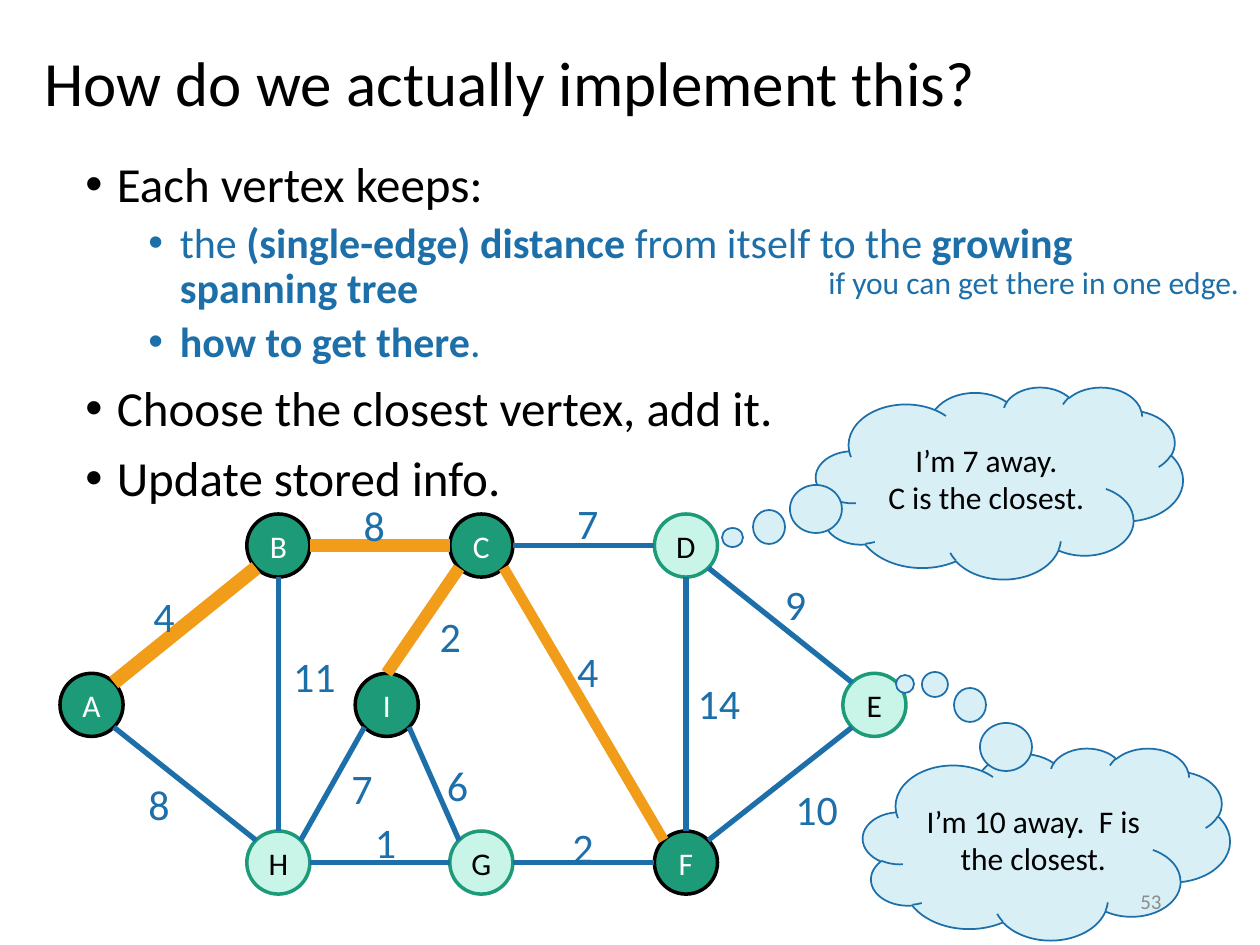
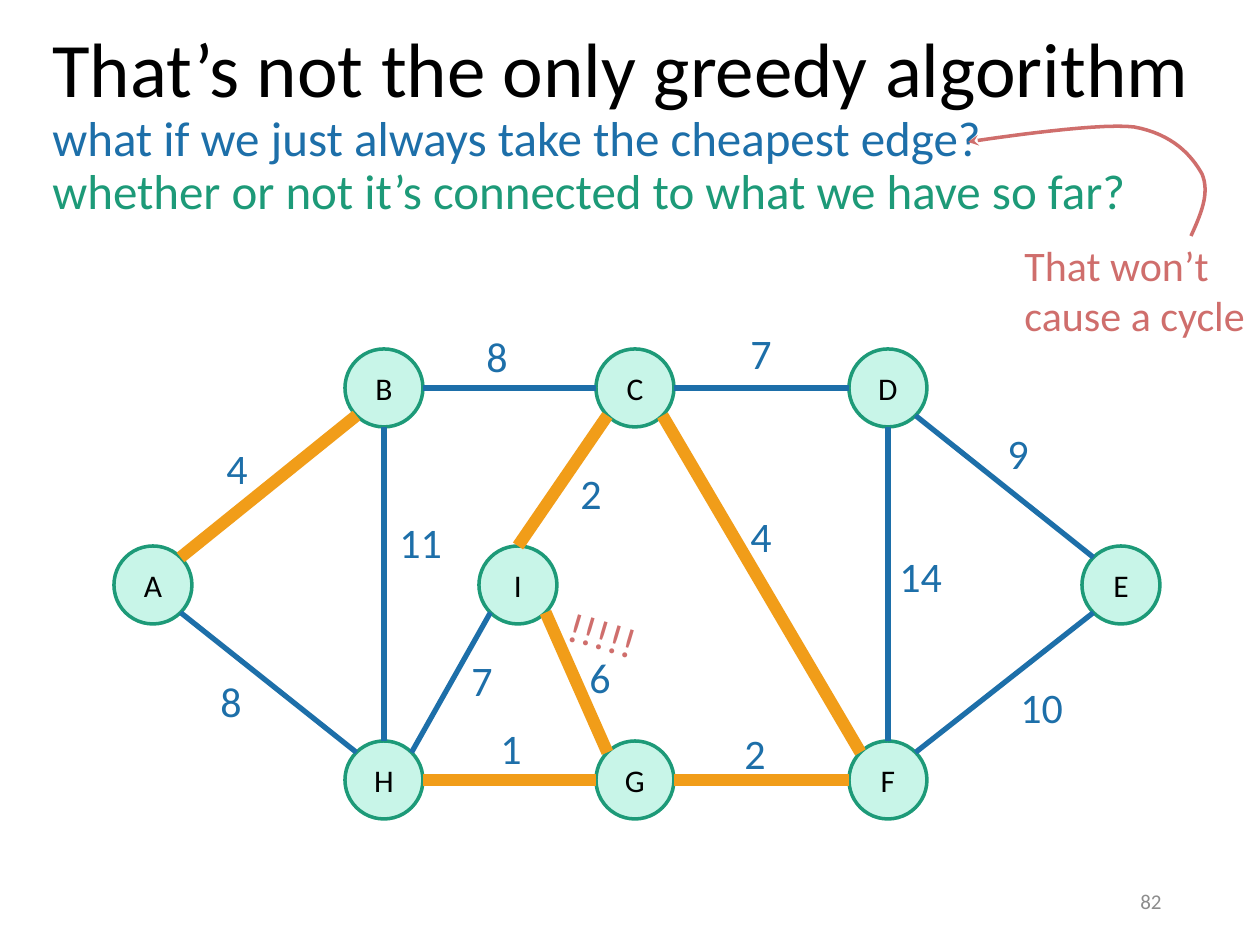
import math

import lxml.etree
import pptx
import pptx.dml.color
import pptx.enum.dml
import pptx.enum.shapes
import pptx.enum.text
import pptx.oxml.ns
import pptx.util

SCALE = 914400 / 126
FONT = "Calibri"
BLACK, WHITE, GREY = "000000", "FFFFFF", "8C8C8C"
BLUE, GREEN, MINT = "1D6FA9", "1D9A78", "C8F5E8"
ORANGE, ROSE, SKY = "F19D19", "CF6E6C", "D7EFF5"

SHAPES = pptx.enum.shapes.MSO_SHAPE
ALIGN = pptx.enum.text.PP_ALIGN
ANCHOR = pptx.enum.text.MSO_ANCHOR

GRAPH_WIDTH = 1046
NODE_RADIUS = 39
LEFT, MIDDLE, RIGHT = 270, 521, 774
TOP, CENTRE, BOTTOM = 39, 236, 431
NODES = {
    "D": (RIGHT, TOP), "C": (MIDDLE, TOP), "B": (LEFT, TOP),
    "A": (39, CENTRE), "H": (LEFT, BOTTOM), "G": (MIDDLE, BOTTOM),
    "F": (RIGHT, BOTTOM), "I": (404, CENTRE), "E": (1007, CENTRE),
}
EDGES = {
    "CF": ("4", 624, 155), "CD": ("7", 624, -28), "ED": ("9", 881, 72),
    "EF": ("10", 894, 326), "DF": ("14", 773, 195), "IG": ("6", 463, 296),
    "GF": ("2", 618, 372), "IC": ("2", 454, 112), "BC": ("8", 360, -25),
    "AB": ("4", 100, 87), "AH": ("8", 94, 320), "GH": ("1", 374, 367),
    "IH": ("7", 345, 299), "HB": ("11", 273, 161),
}
TOP_JOINS = {"IC"}


def px(value):
    return pptx.util.Emu(round(value * SCALE))


def colour(code):
    return pptx.dml.color.RGBColor.from_string(code)


def set_formats(target, formats):
    for name, value in formats.items():
        setattr(target, name, value)


def add_span(para, text, size, ink, bold=False):
    span = para.add_run()
    span.text = text
    set_formats(span.font, {"name": FONT, "size": pptx.util.Pt(size), "bold": bold})
    span.font.color.rgb = colour(ink)


def next_para(frame, index):
    return frame.add_paragraph() if index else frame.paragraphs[0]


def write_lines(frame, lines, size, ink, align=ALIGN.LEFT, anchor=ANCHOR.TOP):
    set_formats(frame, {"word_wrap": True, "vertical_anchor": anchor})
    for index, line in enumerate(lines):
        para = next_para(frame, index)
        para.alignment = align
        add_span(para, line, size, ink)


def add_text(page, box, lines, size, ink, **layout):
    shape = page.shapes.add_textbox(*map(px, box))
    write_lines(shape.text_frame, lines, size, ink, **layout)
    return shape


def add_filled(page, kind, box, fill, ink, weight):
    shape = page.shapes.add_shape(kind, *map(px, box))
    shape.shadow.inherit = False
    shape.fill.solid()
    shape.fill.fore_color.rgb = colour(fill)
    shape.line.color.rgb = colour(ink)
    shape.line.width = pptx.util.Pt(weight)
    return shape


def add_title(page, box, spans):
    frame = page.shapes.add_textbox(*map(px, box)).text_frame
    set_formats(frame, {"word_wrap": True, "vertical_anchor": ANCHOR.MIDDLE})
    para = frame.paragraphs[0]
    para.line_spacing = 0.9
    for index, span in enumerate(spans):
        if index:
            para.add_line_break()
        add_span(para, *span)


def add_page_number(page, number):
    add_text(page, (890, 876, 284, 50), [number], 12, GREY,
             align=ALIGN.RIGHT, anchor=ANCHOR.MIDDLE)


def add_bullets(page, box, items):
    frame = page.shapes.add_textbox(*map(px, box)).text_frame
    frame.word_wrap = True
    for index, (level, pieces) in enumerate(items):
        para = next_para(frame, index)
        size, ink, indent, gap = ((28, BLACK, 0.25, 10), (24, BLUE, 0.75, 5))[level]
        properties = para._p.get_or_add_pPr()
        properties.set("marL", str(pptx.util.Inches(indent)))
        properties.set("indent", str(-pptx.util.Inches(0.25)))
        for tag, key, value in (("a:buFont", "typeface", "Arial"), ("a:buChar", "char", "•")):
            lxml.etree.SubElement(properties, pptx.oxml.ns.qn(tag)).set(key, value)
        set_formats(para, {"level": level, "line_spacing": 0.9,
                           "space_before": pptx.util.Pt(gap if index else 0)})
        for text, bold in pieces:
            add_span(para, text, size, ink, bold)


def edge_point(start, end):
    x, y = NODES[start]
    angle = math.atan2(NODES[end][1] - y, NODES[end][0] - x)
    angle = round(angle / (math.pi / 4)) * math.pi / 4
    if start + end in TOP_JOINS:
        angle = -math.pi / 2
    return x + NODE_RADIUS * math.cos(angle), y + NODE_RADIUS * math.sin(angle)


def add_graph(page, box, tree, reached=""):
    left, top, width = box
    ratio = width / GRAPH_WIDTH

    def place(x, y):
        return left + x * ratio, top + y * ratio

    for name, (x, y) in NODES.items():
        fill, ring, ink = (GREEN, BLACK, WHITE) if name in reached else (MINT, GREEN, BLACK)
        side = 2 * NODE_RADIUS * ratio
        spot = place(x - NODE_RADIUS, y - NODE_RADIUS)
        node = add_filled(page, SHAPES.OVAL, (*spot, side, side), fill, ring, 2)
        write_lines(node.text_frame, [name], 18, ink, ALIGN.CENTER, ANCHOR.MIDDLE)

    for start, end in EDGES:
        points = place(*edge_point(start, end)) + place(*edge_point(end, start))
        edge = page.shapes.add_connector(
            pptx.enum.shapes.MSO_CONNECTOR.STRAIGHT, *map(px, points))
        edge.line.color.rgb = colour(ORANGE if start + end in tree else BLUE)
        edge.line.width = pptx.util.Pt(tree.get(start + end, 3))
        lxml.etree.SubElement(edge._element.spPr, pptx.oxml.ns.qn("a:effectLst"))

    for label, x, y in EDGES.values():
        add_text(page, (*place(x, y), 108, 63), [label], 24, BLUE)


def add_thought(page, box, lines, bubbles):
    left, top = box[:2]
    cloud = add_filled(page, SHAPES.CLOUD, box, SKY, BLUE, 1)
    write_lines(cloud.text_frame, lines, 18, BLACK, ALIGN.CENTER, ANCHOR.MIDDLE)
    for x, y, width, height in bubbles:
        add_filled(page, SHAPES.OVAL, (left + x, top + y, width, height), SKY, BLUE, 1)


def bezier(controls, steps=16):
    for step in range(1, steps + 1):
        t = step / steps
        weights = ((1 - t) ** 3, 3 * t * (1 - t) ** 2, 3 * t * t * (1 - t), t ** 3)
        yield tuple(sum(w * point[axis] for w, point in zip(weights, controls))
                    for axis in (0, 1))


def add_curved_arrow(page, box, controls):
    left, top = box
    points = [controls[0]]
    for first in range(0, len(controls) - 1, 3):
        points.extend(bezier(controls[first:first + 4]))
    start, *rest = [(px(left + x), px(top + y)) for x, y in points]
    builder = page.shapes.build_freeform(*start)
    builder.add_line_segments(rest, close=False)
    arrow = builder.convert_to_shape()
    arrow.shadow.inherit = False
    arrow.fill.background()
    arrow.line.color.rgb = colour(ROSE)
    arrow.line.width = pptx.util.Pt(2)
    tail = lxml.etree.SubElement(arrow.line._get_or_add_ln(), pptx.oxml.ns.qn("a:tailEnd"))
    tail.set("type", "stealth")


def build_implementation(page):
    add_title(page, (32, -5, 1086, 183), [("How do we actually implement this?", 36, BLACK)])
    add_bullets(page, (73, 154, 1086, 600), [
        (0, [("Each vertex keeps:", False)]),
        (1, [("the ", False), ("(single-edge) distance", True),
             (" from itself to the ", False), ("growing spanning tree", True)]),
        (1, [("how to get there", True), (".", False)]),
        (0, [("Choose the closest vertex, add it.", False)]),
        (0, [("Update stored info.", False)]),
    ])
    add_graph(page, (60, 514, 846), {"CF": 6, "IC": 7, "BC": 7, "AB": 8.25}, "ABCFI")
    add_thought(page, (816, 387, 367, 192), ["I’m 7 away.", "C is the closest."],
                [(-26, 98, 52, 48), (-63, 123, 32, 34), (-94, 141, 21, 19)])
    add_thought(page, (863, 748, 367, 192), ["I’m 10 away.  F is the closest."],
                [(117, -25, 52, 48), (91, -60, 32, 34), (59, -76, 26, 25), (33, -73, 18, 18)])
    add_text(page, (816, 257, 444, 50), ["if you can get there in one edge."], 18, BLUE)
    add_page_number(page, "53")


def build_cheapest_edge(page):
    add_title(page, (40, 5, 1220, 241), [
        ("That’s not the only greedy algorithm", 44, BLACK),
        ("what if we just always take the cheapest edge?", 28, BLUE),
        ("whether or not it’s connected to what we have so far?", 28, GREEN),
    ])
    add_graph(page, (114, 349, GRAPH_WIDTH),
              dict.fromkeys(("CF", "IG", "GF", "IC", "AB", "GH"), 7))
    add_text(page, (554, 617, 197, 63), ["!!!!!"], 24, ROSE).rotation = 16.5
    add_text(page, (1012, 233, 248, 115), ["That won’t cause a cycle"], 24, ROSE)
    add_curved_arrow(page, (968, 127), [
        (223, 109), (233, 87), (242, 66), (234, 47), (224, 29),
        (205, 7), (166, 0), (127, -5), (0, 15), (0, 15)])
    add_page_number(page, "82")


def main():
    deck = pptx.Presentation()
    set_formats(deck, {"slide_width": px(1260), "slide_height": px(945)})
    for build in (build_implementation, build_cheapest_edge):
        build(deck.slides.add_slide(deck.slide_layouts[6]))
    deck.save("out.pptx")


if __name__ == "__main__":
    main()
